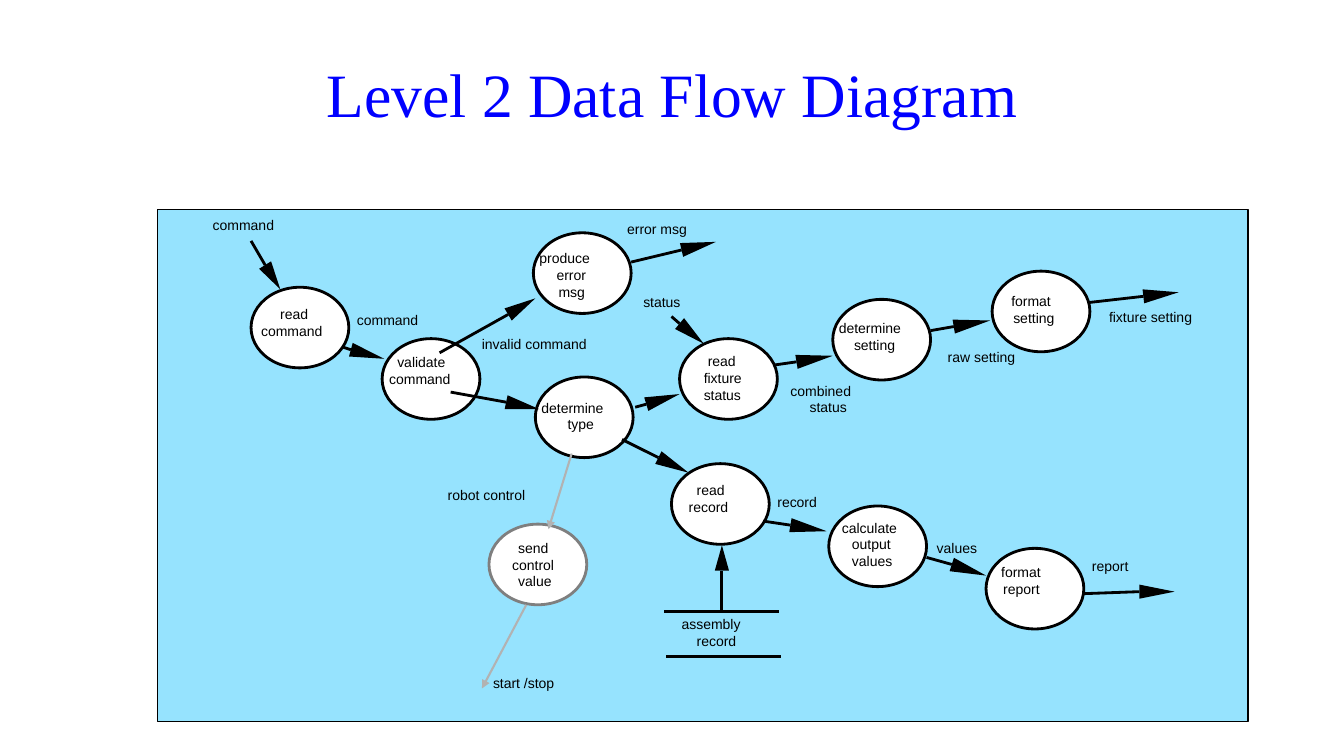
import math
from dataclasses import dataclass

import pptx
import pptx.dml.color
import pptx.enum.shapes
import pptx.enum.text
import pptx.oxml.ns
import pptx.util
from lxml import etree


@dataclass(frozen=True)
class Theme:
    title: str = "0000FF"
    panel: str = "96E3FE"
    bubble: str = "FFFFFF"
    ink: str = "000000"
    control_ring: str = "7F7F7F"
    control_flow: str = "B2B2B2"
    title_font: str = "Times New Roman"
    label_font: str = "Arial"
    title_size: int = 44
    label_size: int = 10
    frame_width: float = 1
    flow_width: float = 2
    control_width: float = 1.5


THEME = Theme()
BUBBLE_WIDTH, BUBBLE_HEIGHT = 0.97, 0.8
LINE_STEP = 0.167
HEAD_HALF_WIDTH = 0.07

PROCESSES = [
    (2.49, 2.85, 3.03, [("read", 2.78), ("command", 2.59)]),
    (5.29, 2.31, 2.48, [("produce", 5.35), ("error", 5.52), ("msg", 5.54)]),
    (3.79, 3.36, 3.51, [("validate", 3.94), ("command", 3.86)]),
    (5.31, 3.74, 3.96, [("determine", 5.37), ("type", 5.63)]),
    (6.74, 3.36, 3.5, [("read", 7.02), ("fixture", 6.98), ("status", 6.98)]),
    (8.26, 2.97, 3.17, [("determine", 8.32), ("setting", 8.47)]),
    (9.84, 2.69, 2.9, [("format", 10.03), ("setting", 10.05)]),
    (6.66, 4.6, 4.78, [("read", 6.91), ("record", 6.83)]),
    (8.22, 5.02, 5.15, [("calculate", 8.35), ("output", 8.45), ("values", 8.45)]),
    (9.78, 5.44, 5.59, [("format", 9.93), ("report", 9.95)]),
]
CONTROL_PROCESS = (4.85, 5.2, 5.35, [("send", 5.14), ("control", 5.08), ("value", 5.14)])

FLOWS = [
    ((2.49, 2.39), (2.63, 2.63), (2.78, 2.87)),
    ((3.39, 3.44), (3.48, 3.47), (3.81, 3.56)),
    ((4.36, 3.5), (5.04, 3.12), (5.31, 2.96)),
    ((6.26, 2.6), (6.76, 2.48), (7.1, 2.4)),
    ((4.47, 3.89), (5.02, 3.99), (5.35, 4.06)),
    ((6.66, 3.14), (6.74, 3.21), (6.98, 3.41)),
    ((6.3, 4.04), (6.41, 4.01), (6.74, 3.91)),
    ((7.69, 3.62), (7.9, 3.59), (8.26, 3.53)),
    ((9.23, 3.28), (9.46, 3.24), (9.82, 3.18)),
    ((10.81, 3), (11.34, 2.94), (11.69, 2.9)),
    ((6.17, 4.36), (6.53, 4.54), (6.83, 4.69)),
    ((7.57, 5.17), (7.84, 5.21), (8.2, 5.27)),
    ((9.19, 5.53), (9.44, 5.6), (9.78, 5.71)),
    ((10.74, 5.89), (11.3, 5.87), (11.65, 5.87)),
    ((7.16, 6.06), (7.16, 5.66), (7.16, 5.41)),
]
CONTROL_FLOWS = [((5.67, 4.5), (5.44, 5.25)), ((5.22, 6), (4.78, 6.83))]
STORE_EDGES = [((6.59, 6.07), (7.73, 6.07)), ((6.61, 6.51), (7.75, 6.51))]

FLOW_LABELS = [
    (2.15, [("command", 2.11)]),
    (3.09, [("command", 3.54)]),
    (3.33, [("invalid command", 4.78)]),
    (2.19, [("error msg", 6.22)]),
    (2.91, [("status", 6.38)]),
    (3.79, [("combined", 7.84), ("status", 8.03)]),
    (3.46, [("raw setting", 9.4)]),
    (3.06, [("fixture setting", 11)]),
    (4.83, [("robot control", 4.44)]),
    (6.69, [("start /stop", 4.89)]),
    (4.9, [("record", 7.71)]),
    (5.35, [("values", 9.29)]),
    (5.53, [("report", 10.83)]),
    (6.11, [("assembly", 6.76), ("record", 6.91)]),
]


def inches(value):
    return pptx.util.Cm(value * 2.54)


def color(code):
    return pptx.dml.color.RGBColor.from_string(code)


def set_font(para, name, size, code):
    for span in para.runs:
        span.font.name = name
        span.font.size = pptx.util.Pt(size)
        span.font.color.rgb = color(code)


def set_title(page, text):
    title = page.shapes.title
    title.left, title.top, title.width, title.height = map(inches, (0.67, 0.3, 12, 1.25))
    frame = title.text_frame
    frame.text = text
    frame.vertical_anchor = pptx.enum.text.MSO_ANCHOR.MIDDLE
    para = frame.paragraphs[0]
    para.alignment = pptx.enum.text.PP_ALIGN.CENTER
    set_font(para, THEME.title_font, THEME.title_size, THEME.title)


def add_outlined(shapes, kind, place, fill, line, width):
    shape = shapes.add_shape(kind, *map(inches, place))
    shape.shadow.inherit = False
    shape.fill.solid()
    shape.fill.fore_color.rgb = color(fill)
    shape.line.color.rgb = color(line)
    shape.line.width = pptx.util.Pt(width)


def add_line(shapes, start, end, code, width, arrow=False):
    line = shapes.add_connector(
        pptx.enum.shapes.MSO_CONNECTOR.STRAIGHT, *map(inches, start + end))
    line.line.color.rgb = color(code)
    line.line.width = pptx.util.Pt(width)
    if arrow:
        stroke = line.line._get_or_add_ln()
        etree.SubElement(stroke, pptx.oxml.ns.qn("a:tailEnd"), type="triangle")
    properties = line._element.spPr
    etree.SubElement(properties, pptx.oxml.ns.qn("a:effectLst"))


def add_flow(shapes, start, neck, tip):
    add_line(shapes, start, neck, THEME.ink, THEME.flow_width)
    run, rise = tip[0] - neck[0], tip[1] - neck[1]
    scale = HEAD_HALF_WIDTH / math.hypot(run, rise)
    corners = [(neck[0] - side * rise * scale, neck[1] + side * run * scale)
               for side in (1, -1)]
    outline = shapes.build_freeform(*map(inches, tip))
    outline.add_line_segments([tuple(map(inches, corner)) for corner in corners], close=True)
    head = outline.convert_to_shape()
    head.shadow.inherit = False
    head.fill.solid()
    head.fill.fore_color.rgb = color(THEME.ink)
    head.line.fill.background()


def add_label(shapes, top, lines):
    for row, (text, left) in enumerate(lines):
        width = 0.055 * len(text) + 0.25
        box = shapes.add_textbox(*map(inches, (left, top + row * LINE_STEP, width, LINE_STEP)))
        frame = box.text_frame
        frame.margin_left = frame.margin_right = frame.margin_top = frame.margin_bottom = 0
        frame.word_wrap = True
        frame.text = text
        set_font(frame.paragraphs[0], THEME.label_font, THEME.label_size, THEME.ink)


def add_process(shapes, left, top, label_top, lines, ring=THEME.ink):
    add_outlined(shapes, pptx.enum.shapes.MSO_SHAPE.OVAL,
                 (left, top, BUBBLE_WIDTH, BUBBLE_HEIGHT),
                 THEME.bubble, ring, THEME.flow_width)
    add_label(shapes, label_top, lines)


def main():
    deck = pptx.Presentation()
    deck.slide_width, deck.slide_height = inches(13.33), inches(7.5)
    page = deck.slides.add_slide(deck.slide_layouts[5])
    set_title(page, "Level 2 Data Flow Diagram")

    diagram = page.shapes.add_group_shape().shapes
    add_outlined(diagram, pptx.enum.shapes.MSO_SHAPE.RECTANGLE, (1.56, 2.08, 10.82, 5.08),
                 THEME.panel, THEME.ink, THEME.frame_width)
    for process in PROCESSES:
        add_process(diagram, *process)
    add_process(diagram, *CONTROL_PROCESS, ring=THEME.control_ring)
    for start, end in STORE_EDGES:
        add_line(diagram, start, end, THEME.ink, THEME.flow_width)
    for flow in FLOWS:
        add_flow(diagram, *flow)
    for top, lines in FLOW_LABELS:
        add_label(diagram, top, lines)
    for start, end in CONTROL_FLOWS:
        add_line(diagram, start, end, THEME.control_flow, THEME.control_width, arrow=True)
    deck.save("out.pptx")


if __name__ == "__main__":
    main()
